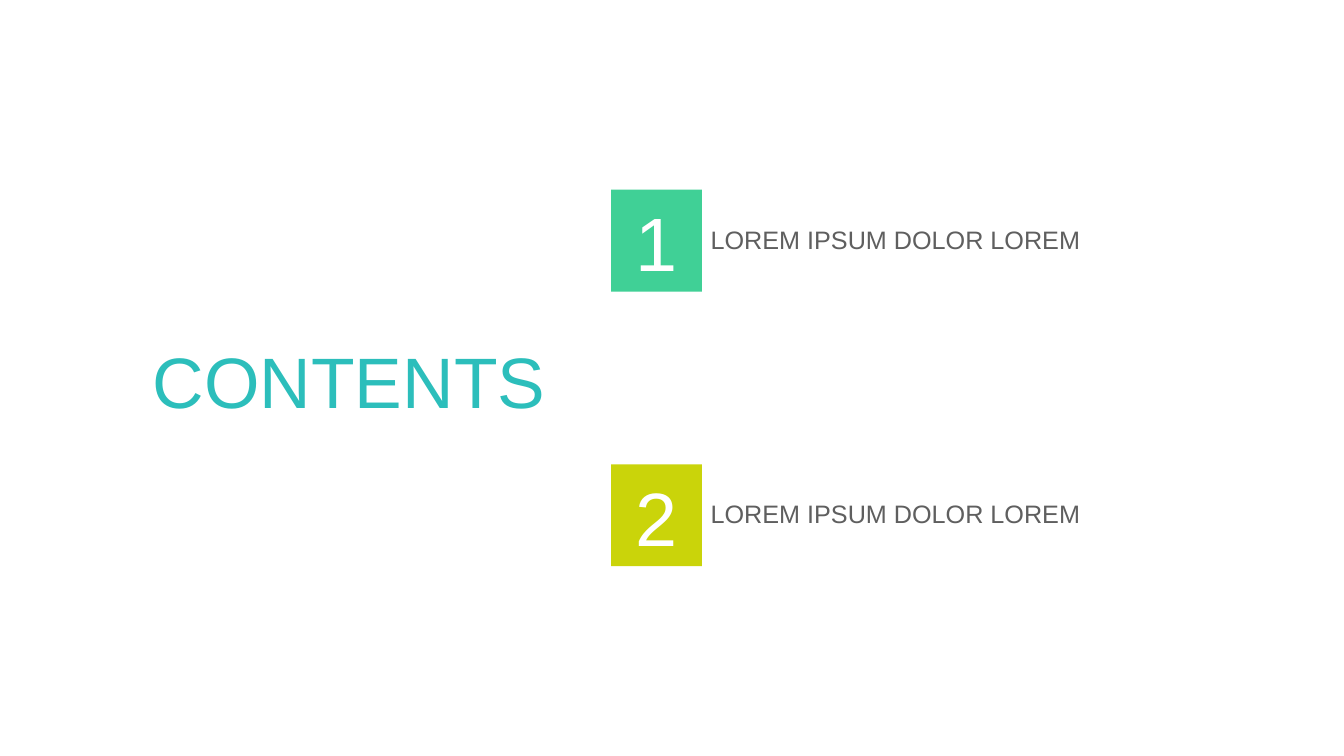
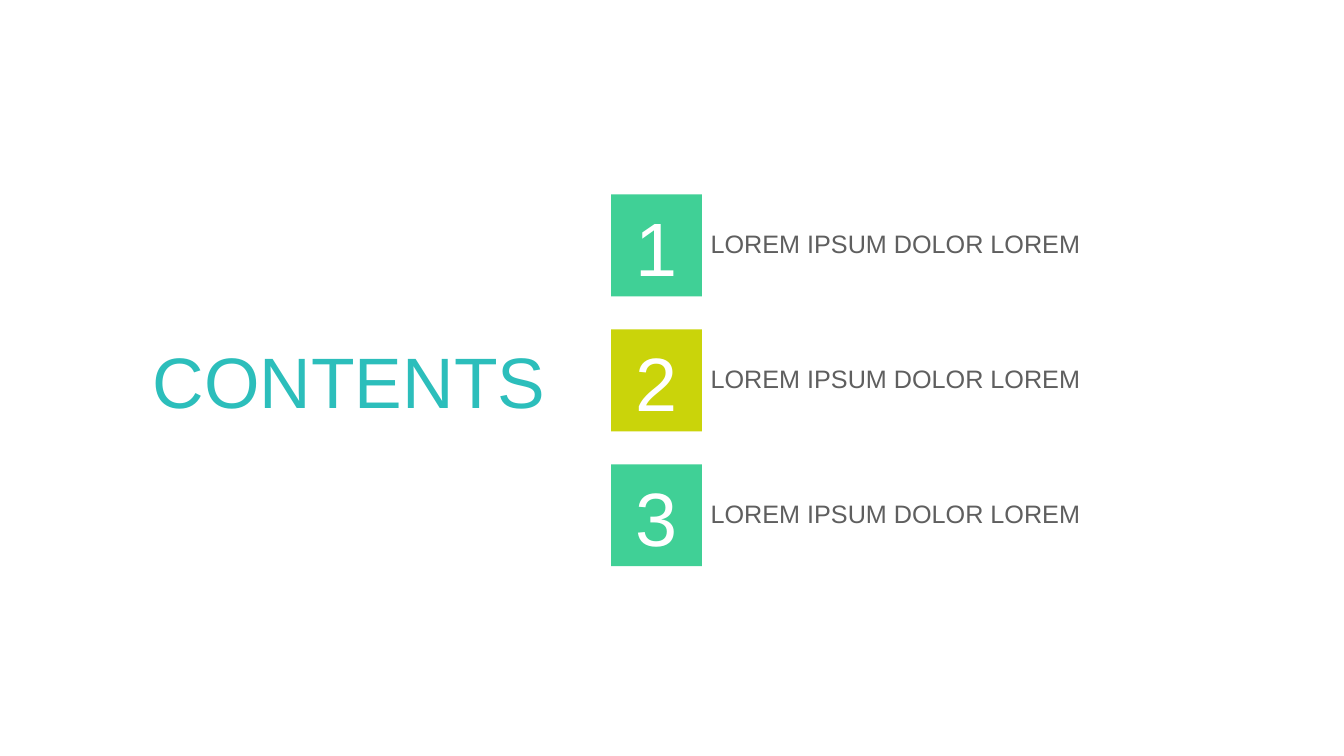
import pptx
import pptx.util
import pptx.dml.color
import pptx.enum.shapes
import pptx.enum.text

Cm, Pt = pptx.util.Cm, pptx.util.Pt
RGB = pptx.dml.color.RGBColor
ALIGN = pptx.enum.text.PP_ALIGN
ANCHOR = pptx.enum.text.MSO_ANCHOR
RECT = pptx.enum.shapes.MSO_SHAPE.RECTANGLE

# Content: entries, top of the first row and label width (cm)
TITLE = "CONTENTS"
ENTRY = "LOREM IPSUM DOLOR LOREM"
SLIDES = [
    {"entries": [ENTRY] * 2, "first_top": 4.78, "label_width": 12.52},
    {"entries": [ENTRY] * 3, "first_top": 4.9, "label_width": 13.28},
]

# Shared style
COLORS = {"title": "2CBEBB", "green": "40D096", "lime": "CAD40A",
          "label": "5F5F5F", "white": "FFFFFF"}
TILE_COLORS = ["green", "lime"]
FONT = "Arial"
STYLES = {
    "title": {"size": 51, "color": "title",
              "frame": {"vertical_anchor": ANCHOR.MIDDLE, "word_wrap": True},
              "para": {"alignment": ALIGN.CENTER, "line_spacing": 0.9}},
    "number": {"size": 54, "color": "white",
               "frame": {"vertical_anchor": ANCHOR.BOTTOM, "word_wrap": True},
               "para": {"alignment": ALIGN.CENTER}},
    "label": {"size": 18, "color": "label",
              "frame": {"vertical_anchor": ANCHOR.TOP, "word_wrap": True,
                        "margin_left": Cm(0.22)},
              "para": {"alignment": ALIGN.LEFT, "line_spacing": Pt(23)}},
}

# Layout (cm)
TITLE_BOX = {"left": 3.15, "top": 8.31, "width": 11.3, "height": 2.82}
TILE_LEFT, TILE_W, TILE_H = 15.4, 2.29, 2.57
LAST_TOP = 11.7
LABEL_DROP, LABEL_H = 0.69, 1.1


def set_attrs(obj, values):
    for name, value in values.items():
        setattr(obj, name, value)


def write(shape, text, style):
    tf = shape.text_frame
    set_attrs(tf, style["frame"])
    p = tf.paragraphs[0]
    set_attrs(p, style["para"])
    r = p.add_run()
    r.text = text
    set_attrs(r.font, {"name": FONT, "size": Pt(style["size"])})
    r.font.color.rgb = RGB.from_string(COLORS[style["color"]])


def add_entry(s, index, text, top, label_width):
    group = s.shapes.add_group_shape()

    # Numbered tile
    tile = group.shapes.add_shape(RECT, Cm(TILE_LEFT), Cm(top), Cm(TILE_W), Cm(TILE_H))
    tile.shadow.inherit = False
    tile.fill.solid()
    color = TILE_COLORS[index % len(TILE_COLORS)]
    tile.fill.fore_color.rgb = RGB.from_string(COLORS[color])
    tile.line.fill.background()
    write(tile, str(index + 1), STYLES["number"])

    # Label to its right
    label = group.shapes.add_textbox(Cm(TILE_LEFT + TILE_W), Cm(top + LABEL_DROP),
                                     Cm(label_width), Cm(LABEL_H))
    write(label, text, STYLES["label"])


def add_contents(prs, entries, first_top, label_width):
    s = prs.slides.add_slide(prs.slide_layouts.get_by_name("Title Only"))
    title = s.shapes.title
    set_attrs(title, {name: Cm(value) for name, value in TITLE_BOX.items()})
    write(title, TITLE, STYLES["title"])

    # Rows spread evenly down to the shared last row
    pitch = (LAST_TOP - first_top) / (len(entries) - 1)
    for i, text in enumerate(entries):
        add_entry(s, i, text, first_top + i * pitch, label_width)


def main():
    prs = pptx.Presentation()
    prs.slide_width, prs.slide_height = Cm(33.87), Cm(19.05)
    for slide in SLIDES:
        add_contents(prs, **slide)
    prs.save("out.pptx")


if __name__ == "__main__":
    main()
